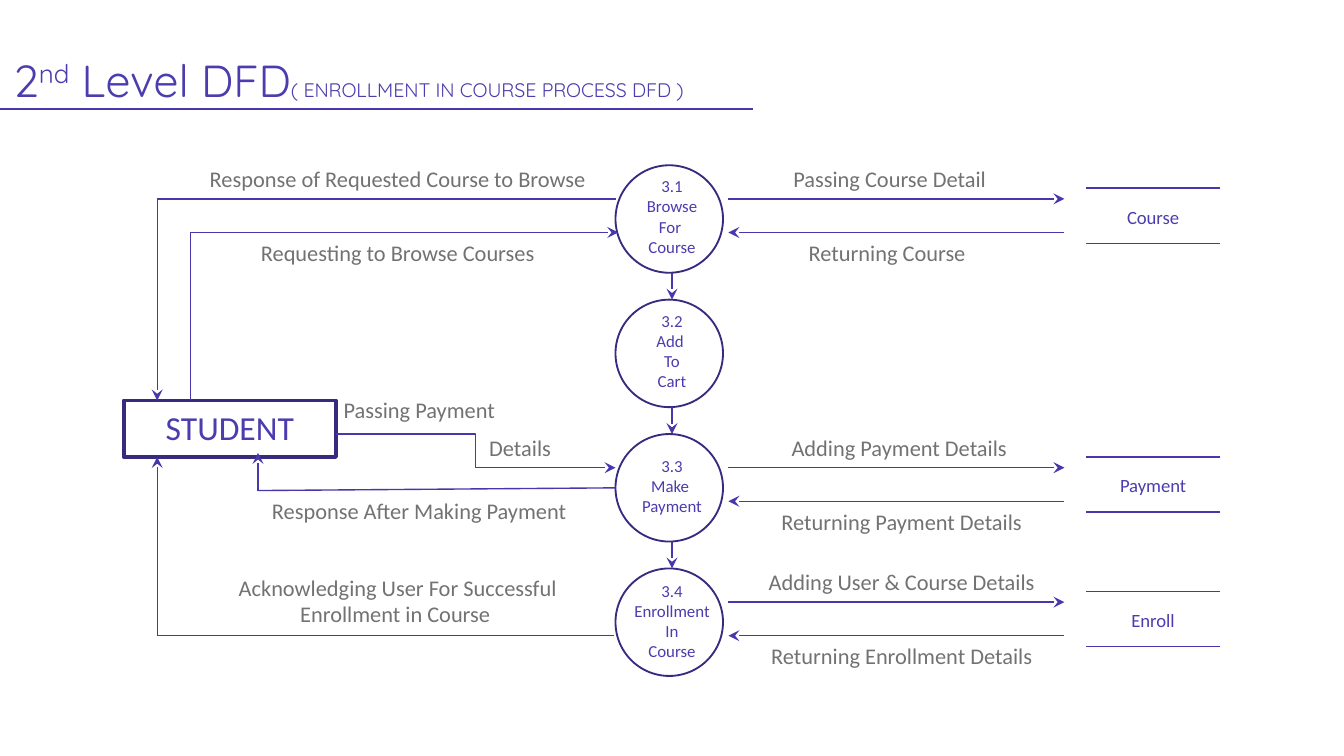
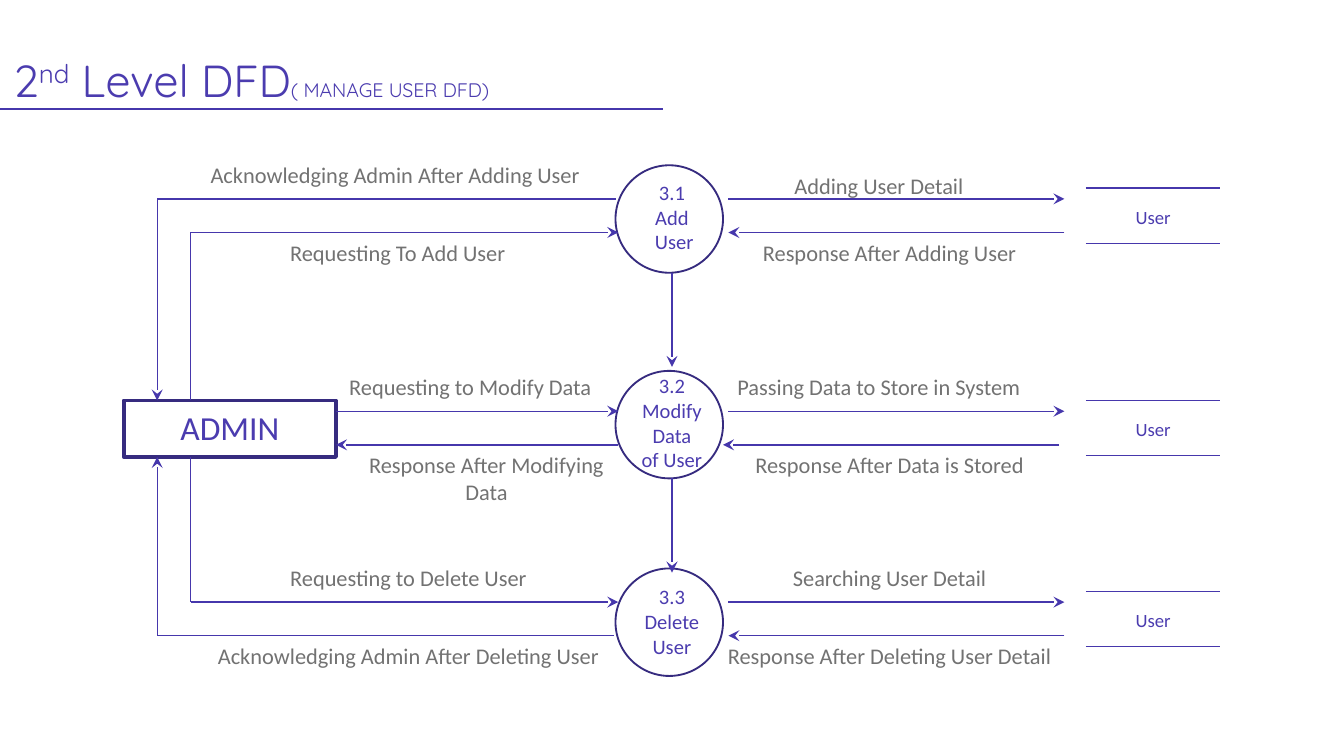
from dataclasses import dataclass
from itertools import pairwise

from lxml.etree import SubElement
from pptx import Presentation
from pptx.dml.color import RGBColor
from pptx.enum.shapes import MSO_CONNECTOR, MSO_SHAPE
from pptx.enum.text import MSO_ANCHOR, MSO_AUTO_SIZE, PP_ALIGN
from pptx.oxml.ns import qn
from pptx.shapes.connector import Connector
from pptx.slide import Slide
from pptx.text.text import TextFrame
from pptx.util import Inches, Pt

Point = tuple[float, float]


@dataclass(frozen=True)
class Theme:
    ink: RGBColor = RGBColor(0x4B, 0x3C, 0xAF)
    flow: RGBColor = RGBColor(0x46, 0x37, 0xAC)
    outline: RGBColor = RGBColor(0x36, 0x2B, 0x7F)
    label: RGBColor = RGBColor(0x72, 0x72, 0x72)
    title_font: str = "Quicksand"
    body_font: str = "Calibri"
    title_size: float = 24
    subtitle_size: float = 10.5
    actor_size: float = 18
    label_size: float = 12
    store_size: float = 10
    flow_width: float = 0.75
    process_width: float = 1
    actor_width: float = 2


THEME = Theme()


@dataclass(frozen=True)
class Process:
    top: float
    caption: str
    caption_top: float
    caption_height: float


@dataclass(frozen=True)
class Store:
    name: str
    top: float
    return_shift: float = 0


@dataclass(frozen=True)
class Label:
    text: str
    left: float
    top: float
    width: float = 3.08
    height: float = 0.3
    align: PP_ALIGN = PP_ALIGN.CENTER


@dataclass(frozen=True)
class Diagram:
    subtitle: str
    rule_end: float
    actor: str
    process_size: float
    processes: list[Process]
    stores: list[Store]
    labels: list[Label]
    flows: list[list[Point]]
    elbows: list[tuple[Point, Point]]


# Geometry shared by both diagrams
ACTOR_LEFT, ACTOR_TOP, ACTOR_WIDTH, ACTOR_HEIGHT = 0.92, 2.98, 1.58, 0.42
ACTOR_BOTTOM = ACTOR_TOP + ACTOR_HEIGHT
CIRCLE_LEFT, CIRCLE_SIZE = 4.58, 0.8
STORE_LEFT, STORE_WIDTH, STORE_HEIGHT = 8.08, 1, 0.41
FLOW_LEFT, FLOW_RIGHT = 5.42, 7.92
ACTOR_FLOWS = [
    [(1.42, ACTOR_TOP), (1.42, 1.73), (4.6, 1.73)],
    [(4.58, 1.48), (1.17, 1.48), (1.17, ACTOR_TOP)],
    [(4.57, 4.73), (1.17, 4.73), (1.17, ACTOR_BOTTOM)],
]


def write_text(frame: TextFrame, text: str, *, size: float,
               color: RGBColor = THEME.ink, font: str = THEME.body_font,
               align: PP_ALIGN = PP_ALIGN.CENTER) -> None:
    """Write one paragraph for each line of text."""
    frame.word_wrap = True
    for index, line in enumerate(text.split("\n")):
        paragraph = frame.add_paragraph() if index else frame.paragraphs[0]
        paragraph.alignment = align
        run = paragraph.add_run()
        run.text = line
        run.font.size = Pt(size)
        run.font.name = font
        run.font.color.rgb = color


def add_label(slide: Slide, text: str, left: float, top: float, width: float,
              height: float, **text_format) -> None:
    frame = slide.shapes.add_textbox(
        Inches(left), Inches(top), Inches(width), Inches(height)).text_frame
    frame.auto_size = MSO_AUTO_SIZE.SHAPE_TO_FIT_TEXT
    write_text(frame, text, **text_format)


def add_outline(slide: Slide, kind: MSO_SHAPE, left: float, top: float,
                width: float, height: float, weight: float) -> None:
    outline = slide.shapes.add_shape(
        kind, Inches(left), Inches(top), Inches(width), Inches(height))
    outline.shadow.inherit = False
    outline.fill.background()
    outline.line.color.rgb = THEME.outline
    outline.line.width = Pt(weight)


def add_line(slide: Slide, start: Point, end: Point, arrow: bool = False,
             kind: MSO_CONNECTOR = MSO_CONNECTOR.STRAIGHT) -> Connector:
    line = slide.shapes.add_connector(
        kind, *(Inches(value) for value in (*start, *end)))
    line.line.color.rgb = THEME.flow
    line.line.width = Pt(THEME.flow_width)
    properties = line._element.spPr
    if arrow:
        SubElement(properties.find(qn("a:ln")), qn("a:tailEnd"), type="stealth")
    SubElement(properties, qn("a:effectLst"))
    return line


def add_flow(slide: Slide, points: list[Point]) -> None:
    """Join the points with lines; the last line carries the arrowhead."""
    legs = list(pairwise(points))
    for index, (start, end) in enumerate(legs, 1):
        add_line(slide, start, end, arrow=index == len(legs))


def add_title(slide: Slide, subtitle: str, rule_end: float) -> None:
    title = slide.shapes.title
    title.left, title.top = Inches(0), Inches(0.31)
    title.width, title.height = Inches(6.41), Inches(0.58)
    frame = title.text_frame
    frame.word_wrap = True
    frame.auto_size = MSO_AUTO_SIZE.NONE
    frame.vertical_anchor = MSO_ANCHOR.BOTTOM
    frame.margin_left = frame.margin_right = Inches(0.1)
    frame.margin_top = frame.margin_bottom = Inches(0.1)
    paragraph = frame.paragraphs[0]
    paragraph.alignment = PP_ALIGN.LEFT
    parts = [("2", THEME.title_size, 0), ("nd", THEME.title_size, 30000),
             (" Level DFD", THEME.title_size, 0),
             (subtitle, THEME.subtitle_size, 0)]
    for text, size, baseline in parts:
        run = paragraph.add_run()
        run.text = text
        run.font.size = Pt(size)
        run.font.name = THEME.title_font
        run.font.color.rgb = THEME.ink
        if baseline:
            run._r.get_or_add_rPr().set("baseline", str(baseline))
    add_line(slide, (0, 0.81), (rule_end, 0.81))


def add_actor(slide: Slide, name: str) -> None:
    frame = (ACTOR_LEFT, ACTOR_TOP, ACTOR_WIDTH, ACTOR_HEIGHT)
    add_outline(slide, MSO_SHAPE.RECTANGLE, *frame, THEME.actor_width)
    add_label(slide, name, *frame, size=THEME.actor_size)


def add_process(slide: Slide, process: Process, size: float) -> None:
    add_outline(slide, MSO_SHAPE.OVAL, CIRCLE_LEFT, process.top,
                CIRCLE_SIZE, CIRCLE_SIZE, THEME.process_width)
    add_label(slide, process.caption, 4.5, process.caption_top, 1,
              process.caption_height, size=size)


def add_store(slide: Slide, store: Store) -> None:
    """Draw a data store with the flows to it and back."""
    for y in (store.top, store.top + STORE_HEIGHT):
        add_line(slide, (STORE_LEFT, y), (STORE_LEFT + STORE_WIDTH, y))
    send_y, return_y = store.top + 0.08, store.top + 0.33
    add_label(slide, store.name, STORE_LEFT, send_y, STORE_WIDTH, 0.27,
              size=THEME.store_size)
    add_flow(slide, [(FLOW_LEFT, send_y), (FLOW_RIGHT, send_y)])
    add_flow(slide, [(FLOW_RIGHT + store.return_shift, return_y),
                     (FLOW_LEFT + store.return_shift, return_y)])


def build_diagram(slide: Slide, diagram: Diagram) -> None:
    add_title(slide, diagram.subtitle, diagram.rule_end)
    add_actor(slide, diagram.actor)
    for store in diagram.stores:
        add_store(slide, store)
    for process in diagram.processes:
        add_process(slide, process, diagram.process_size)
    for points in ACTOR_FLOWS + diagram.flows:
        add_flow(slide, points)
    for start, end in diagram.elbows:
        add_line(slide, start, end, arrow=True, kind=MSO_CONNECTOR.ELBOW)
    for label in diagram.labels:
        add_label(slide, label.text, label.left, label.top, label.width,
                  label.height, size=THEME.label_size, color=THEME.label,
                  align=label.align)


# Content of the two diagrams
ENROLLMENT = Diagram(
    subtitle="( ENROLLMENT IN COURSE PROCESS DFD )",
    rule_end=5.6,
    actor="STUDENT",
    process_size=9,
    processes=[
        Process(1.23, "3.1\nBrowse\nFor \nCourse", 1.26, 0.86),
        Process(2.23, "3.2\nAdd \nTo\nCart", 2.26, 0.71),
        Process(3.23, "3.3\nMake \nPayment", 3.34, 0.56),
        Process(4.23, "3.4\nEnrollment\nIn\nCourse", 4.27, 0.71),
    ],
    stores=[Store("Course", 1.4), Store("Payment", 3.4), Store("Enroll", 4.4)],
    labels=[
        Label("Requesting to Browse Courses", 1.42, 1.73),
        Label("Response of Requested Course to Browse", 1.42, 1.18),
        Label("Response After Making Payment", 1.58, 3.65),
        Label("Acknowledging User For Successful Enrollment in Course ",
              1.42, 4.22, height=0.5),
        Label("Adding Payment Details ", 5.17, 3.18),
        Label("Returning Payment Details", 5.17, 3.73),
        Label("Returning Course ", 5.08, 1.73),
        Label("Passing Course Detail", 5.08, 1.18),
        Label("Adding User & Course Details", 5.17, 4.18),
        Label("Returning Enrollment Details", 5.17, 4.73),
        Label("Passing Payment", 1.58, 2.9),
        Label("Details", 2.33, 3.18),
    ],
    flows=[
        [(4.58, 3.63), (1.92, 3.65), (1.92, 3.37)],
        *([(5, y), (5, y + 0.2)] for y in (2.03, 3.03, 4.03)),
    ],
    elbows=[((2.5, 3.23), (4.58, 3.48))],
)

MANAGE_USER = Diagram(
    subtitle="( MANAGE USER DFD)",
    rule_end=4.93,
    actor="ADMIN",
    process_size=11,
    processes=[
        Process(1.23, "3.1\nAdd\n User", 1.29, 0.84),
        Process(2.76, "3.2\nModify\n Data \nof User", 2.73, 1.03),
        Process(4.23, "3.3\nDelete\nUser", 4.3, 0.84),
    ],
    stores=[Store("User", 1.4), Store("User", 2.98, return_shift=-0.04),
            Store("User", 4.4)],
    labels=[
        Label("Requesting To Add User", 1.42, 1.73),
        Label("Response After Data is Stored", 5.08, 3.31),
        Label("Acknowledging Admin After Adding User ", 1.42, 1.15),
        Label("Passing Data to Store in System", 5, 2.73),
        Label("Response After Adding User", 5.08, 1.73),
        Label("Requesting to Modify Data", 2.5, 2.73, align=PP_ALIGN.LEFT),
        Label("Response After Modifying\n Data ", 2.08, 3.31, height=0.5),
        Label("Requesting to Delete User", 1.5, 4.15),
        Label("Acknowledging Admin After Deleting User", 1.5, 4.73),
        Label("Adding User Detail", 5.25, 1.23, width=2.58),
        Label("Response After Deleting User Detail", 5.08, 4.73),
        Label("Searching User Detail", 5.08, 4.15),
    ],
    flows=[
        [(1.42, ACTOR_BOTTOM), (1.42, 4.48), (4.6, 4.48)],
        [(4.6, 3.31), (2.5, 3.31)],
        [(2.5, 3.06), (4.6, 3.06)],
        *([(5, y), (5, y + 0.7)] for y in (2.03, 3.56)),
    ],
    elbows=[],
)


def main() -> None:
    deck = Presentation()
    # Widescreen, 16:9
    deck.slide_width = Inches(10)
    deck.slide_height = Inches(10) * 9 // 16
    title_only = deck.slide_layouts[5]
    for diagram in (ENROLLMENT, MANAGE_USER):
        build_diagram(deck.slides.add_slide(title_only), diagram)
    deck.save("out.pptx")


if __name__ == "__main__":
    main()
